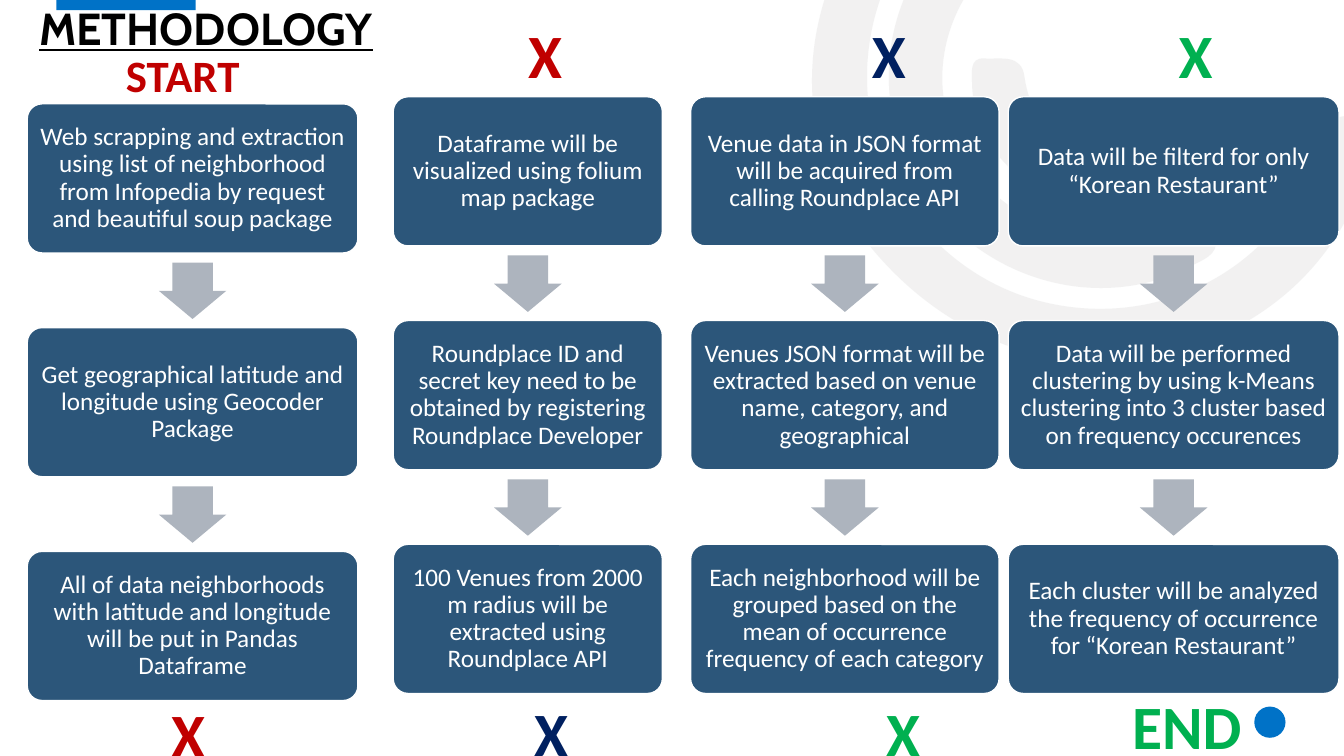
"""Build the methodology slide: four columns of process steps joined by arrows."""
from math import cos, radians, sin
from lxml import etree
from pptx import Presentation
from pptx.dml.color import RGBColor
from pptx.enum.shapes import MSO_SHAPE as SHAPE
from pptx.enum.text import MSO_ANCHOR as ANCHOR, MSO_AUTO_SIZE as AUTO, PP_ALIGN as ALIGN
from pptx.oxml.ns import qn
from pptx.util import Inches, Pt

COLORS = {"swirl": "E7E6E6", "accent": "0072C7", "box": "2C567A", "arrow": "ADB4BE",
          "white": "FFFFFF", "black": "000000", "red": "C00000", "navy": "002060",
          "green": "00B050"}
BOX_H, STEP = 1.48, 2.22
ARROW_W, ARROW_H = 0.56, 0.67
SWIRL_ANGLE = 144.2

SWIRL = [
    ((8.13, -2.02, 4.85, 6), [
        (8.51, 2.29),
        (7.99, 1.49, 7.87, 0.5, 8.38, -0.5), (8.9, -1.52, 9.76, -2.03, 10.9, -2.07),
        (11.05, -2.07, 11.21, -2.1, 11.31, -1.95), (11.44, -1.75, 11.27, -1.54, 10.98, -1.54),
        (9.67, -1.54, 8.65, -0.59, 8.6, 0.68), (8.56, 1.81, 9.36, 2.81, 10.46, 3.02),
        (11.6, 3.24, 12.7, 2.61, 13.07, 1.52), (13.09, 1.48, 13.11, 1.44, 13.12, 1.4),
        (13.16, 1.19, 13.27, 1.11, 13.49, 1.17), (13.73, 1.24, 13.67, 1.41, 13.61, 1.56),
        (13.34, 2.45, 12.78, 3.07, 11.91, 3.41), (10.7, 3.87, 9.36, 3.45, 8.51, 2.29)]),
    ((9.01, -0.78, 2.13, 4.26), [
        (9.22, 1.99),
        (8.62, 1.15, 8.69, 0.07, 9.4, -0.68), (9.51, -0.79, 9.62, -0.95, 9.8, -0.78),
        (9.95, -0.64, 9.97, -0.5, 9.79, -0.32), (9.25, 0.26, 9.2, 1.08, 9.65, 1.68),
        (10.08, 2.29, 10.88, 2.49, 11.61, 2.15), (11.82, 2.05, 11.93, 2.12, 12.03, 2.29),
        (12.13, 2.5, 11.97, 2.56, 11.83, 2.63), (10.96, 3.1, 9.83, 2.82, 9.22, 1.99)]),
    ((9.8, 0.37, 0.78, 1.83), [
        (9.87, 1.51),
        (9.75, 1.3, 9.64, 1.07, 9.64, 0.82), (9.64, 0.73, 9.61, 0.57, 9.76, 0.58),
        (9.92, 0.59, 10.13, 0.53, 10.16, 0.76), (10.21, 1.1, 10.36, 1.32, 10.67, 1.48),
        (10.88, 1.57, 10.76, 1.76, 10.72, 1.89), (10.68, 2.06, 10.55, 1.98, 10.45, 1.94),
        (10.21, 1.87, 10.03, 1.7, 9.87, 1.51)]),
]

COLUMNS = [
    (0.27, 1.03, 3.28, [
        "Web scrapping and extraction using list of neighborhood from Infopedia by request "
        "and beautiful soup package",
        "Get geographical latitude and longitude using Geocoder Package",
        "All of data neighborhoods with latitude and longitude will be put in Pandas Dataframe"]),
    (3.9, 0.96, 2.67, [
        "Dataframe will be visualized using folium map package",
        "Roundplace ID and secret key need to be obtained by registering Roundplace Developer",
        "100 Venues from 2000 m radius will be extracted using Roundplace API"]),
    (6.85, 0.96, 3.06, [
        "Venue data in JSON format will be acquired from calling Roundplace API",
        "Venues JSON format will be extracted based on venue name, category, and geographical",
        "Each neighborhood will be grouped based on the mean of occurrence frequency of each "
        "category"]),
    (10, 0.96, 3.28, [
        "Data will be filterd for only “Korean Restaurant”",
        "Data will be performed clustering by using k-Means clustering into 3 cluster based on "
        "frequency occurences",
        "Each cluster will be analyzed the frequency of occurrence for “Korean Restaurant”"]),
]

MARKERS = [
    ("X", 1.6, 6.86, 0.58, 0.84, 44, "red"),
    ("X", 5.14, 0.12, 0.58, 0.84, 44, "red"),
    ("X", 5.2, 6.84, 0.62, 0.84, 44, "navy"),
    ("X", 8.55, 0.12, 0.58, 0.84, 44, "navy"),
    ("X", 8.69, 6.84, 0.62, 0.84, 44, "green"),
    ("X", 11.59, 0.12, 0.58, 0.84, 44, "green"),
    ("END", 11.13, 6.78, 1.83, 0.84, 44, "green"),
    ("START", 1.15, 0.42, 1.61, 0.64, 32, "red"),
]


def paint(sp, color):
    """Give a shape a plain fill without line or shadow."""
    sp.shadow.inherit = False
    sp.fill.solid()
    sp.fill.fore_color.rgb = RGBColor.from_string(COLORS[color])
    sp.line.fill.background()


def write(tf, text, color, inset=None, **fmt):
    """Write one formatted run into a text frame and return its paragraph."""
    tf.word_wrap = True
    if inset is not None:
        for side in ("left", "right", "top", "bottom"):
            setattr(tf, f"margin_{side}", Inches(inset))
    p = tf.paragraphs[0]
    r = p.add_run()
    r.text = text
    r.font.color.rgb = RGBColor.from_string(COLORS[color])
    for key, value in {"name": "Calibri", **fmt}.items():
        setattr(r.font, key, value)
    return p


prs = Presentation()
prs.slide_width, prs.slide_height = Inches(13.33), Inches(7.5)
s = prs.slides.add_slide(prs.slide_layouts[5])

cos_a, sin_a = cos(radians(SWIRL_ANGLE)), sin(radians(SWIRL_ANGLE))
for (left, top, width, height), moves in SWIRL:
    turned = []
    for move in moves:
        offsets = [(x - left - width / 2, y - top - height / 2)
                   for x, y in zip(move[::2], move[1::2])]
        turned.append([(Inches(width / 2 + dx * cos_a + dy * sin_a),
                        Inches(height / 2 - dx * sin_a + dy * cos_a)) for dx, dy in offsets])
    outline = s.shapes.build_freeform(*turned[0][0])
    outline.add_line_segments([points[-1] for points in turned[1:]], close=True)
    sp = outline.convert_to_shape()
    sp.left, sp.top, sp.width, sp.height = map(Inches, (left, top, width, height))
    sp.rotation = SWIRL_ANGLE
    paint(sp, "swirl")
    clr = sp.fill.fore_color._xFill.find(qn("a:srgbClr"))
    etree.SubElement(clr, qn("a:alpha"), val="53000")
    curve = next(sp._element.iter(qn("a:path")))
    for child in list(curve):
        curve.remove(child)
    curve.set("w", str(sp.width))
    curve.set("h", str(sp.height))
    for points in turned:
        tag = "a:moveTo" if len(points) == 1 else "a:cubicBezTo"
        segment = etree.SubElement(curve, qn(tag))
        for x, y in points:
            etree.SubElement(segment, qn("a:pt"), x=str(x), y=str(y))
    etree.SubElement(curve, qn("a:close"))

for kind, box in ((SHAPE.RECTANGLE, (0.56, -0.02, 1.38, 0.12)),
                  (SHAPE.OVAL, (12.44, 7.01, 0.31, 0.31))):
    paint(s.shapes.add_shape(kind, *map(Inches, box)), "accent")

title = s.shapes.title
title.left, title.top, title.width, title.height = map(Inches, (0.39, -0.46, 12.19, 1.01))
p = write(title.text_frame, "METHODOLOGY", "black", inset=0,
          name="Cabin", size=Pt(32), bold=True, underline=True)
p.alignment, p.line_spacing = ALIGN.LEFT, 0.9
title.text_frame.vertical_anchor = ANCHOR.BOTTOM
title.text_frame.auto_size = AUTO.NONE

for left, top, width, steps in COLUMNS:
    for i, step in enumerate(steps):
        y = top + i * STEP
        sp = s.shapes.add_shape(SHAPE.ROUNDED_RECTANGLE,
                                *map(Inches, (left, y, width, BOX_H)))
        paint(sp, "box")
        sp.adjustments[0] = 0.1
        sp.line.color.rgb = RGBColor.from_string(COLORS["white"])
        sp.line.width = Pt(1)
        p = write(sp.text_frame, step, "white", inset=0.07, size=Pt(18))
        p.alignment, p.line_spacing = ALIGN.CENTER, 0.9
        sp.text_frame.vertical_anchor = ANCHOR.MIDDLE
        if i < len(steps) - 1:
            arrow = s.shapes.add_shape(SHAPE.RIGHT_ARROW, *map(Inches, (
                left + (width - ARROW_W) / 2, y + 1.52, ARROW_W, ARROW_H)))
            paint(arrow, "arrow")
            arrow.rotation = 90
            arrow.adjustments[0], arrow.adjustments[1] = 0.6, 0.5

for text, left, top, width, height, size, color in MARKERS:
    tf = s.shapes.add_textbox(*map(Inches, (left, top, width, height))).text_frame
    write(tf, text, color, size=Pt(size), bold=True)
    tf.auto_size = AUTO.SHAPE_TO_FIT_TEXT

prs.save("out.pptx")
